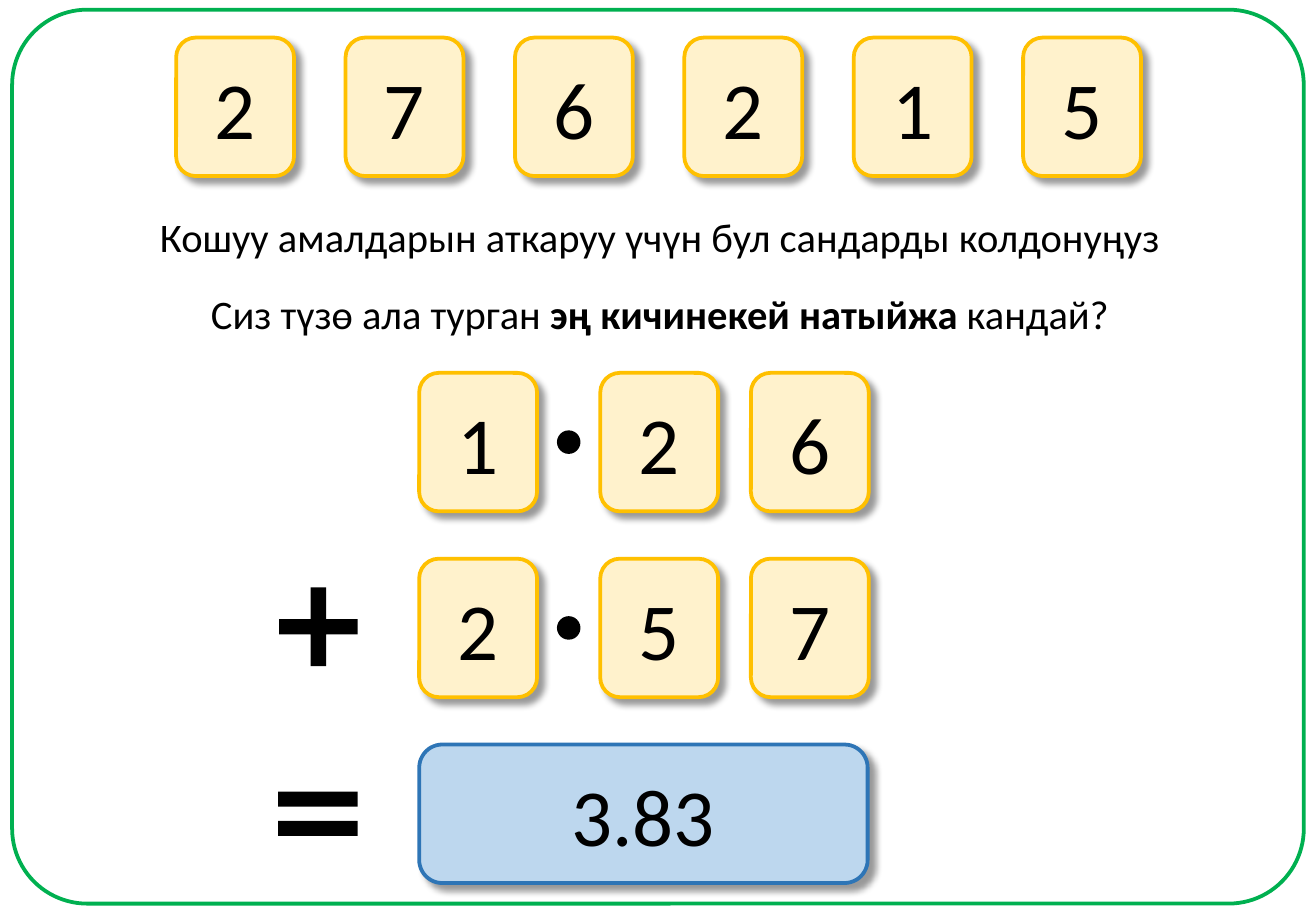
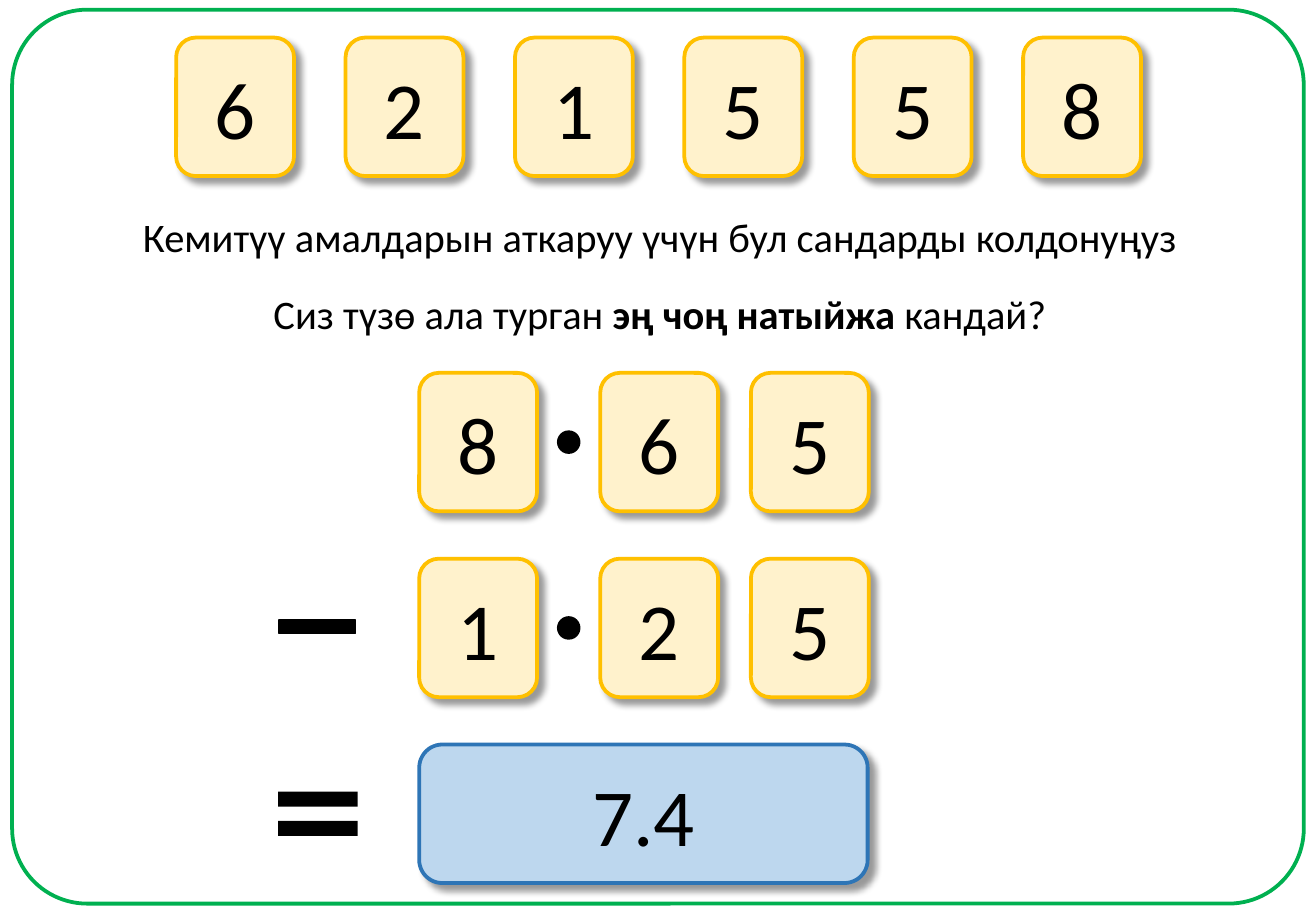
from dataclasses import dataclass

import pptx
import pptx.dml.color
import pptx.enum.shapes
import pptx.enum.text
import pptx.oxml
import pptx.oxml.ns
import pptx.util
from pptx.util import Inches

SHAPE = pptx.enum.shapes.MSO_SHAPE


@dataclass(frozen=True)
class Theme:
    font: str = "Calibri"
    ink: str = "000000"
    frame: str = "00B050"
    card_fill: str = "FFF2CC"
    card_edge: str = "FFC000"
    answer_fill: str = "BDD7EE"
    answer_edge: str = "2E75B6"
    digit_size: float = 48
    prompt_size: float = 24
    edge_width: float = 2.25


@dataclass(frozen=True)
class Box:
    left: float
    top: float
    width: float
    height: float

    def inner(self, left, top, width, height):
        return Box(self.left + left, self.top + top, width, height)

    def lengths(self):
        return [Inches(value) for value in (self.left, self.top, self.width, self.height)]


@dataclass(frozen=True)
class Exercise:
    digits: str
    prompt: str
    prompt_width: float
    question: tuple
    question_width: float
    first: str
    second: str
    result: str
    sign: str


THEME = Theme()
CARD_WIDTH, CARD_HEIGHT = 0.97, 1.14
ROW_STEP = 1.53
FRAME = Box(0.1, 0.08, 10.63, 7.36)
SUPPLY = Box(1.45, 0.31, 7.94, CARD_HEIGHT)
PROMPTS = Box(1.03, 1.7, 8.8, 1.13)
SUM = Box(2.17, 3.07, 4.98, 4.2)

SHADOW = (
    '<a:outerShdw %s blurRad="50800" dist="63500" dir="2700000" algn="tl" rotWithShape="0">'
    '<a:srgbClr val="000000"><a:alpha val="40000"/></a:srgbClr></a:outerShdw>'
    % pptx.oxml.ns.nsdecls("a")
)


def rgb(value):
    return pptx.dml.color.RGBColor.from_string(value)


def style(para, size):
    para.alignment = pptx.enum.text.PP_ALIGN.CENTER
    para.font.name = THEME.font
    para.font.size = pptx.util.Pt(size)
    para.font.color.rgb = rgb(THEME.ink)


def add_figure(shapes, kind, box, fill=None, edge=None, width=THEME.edge_width, adjust=()):
    figure = shapes.add_shape(kind, *box.lengths())
    figure.shadow.inherit = False
    for index, value in enumerate(adjust):
        figure.adjustments[index] = value
    if fill:
        figure.fill.solid()
        figure.fill.fore_color.rgb = rgb(fill)
    else:
        figure.fill.background()
    if edge:
        figure.line.color.rgb = rgb(edge)
        figure.line.width = pptx.util.Pt(width)
    else:
        figure.line.fill.background()
    return figure


def add_card(shapes, box, text, fill=THEME.card_fill, edge=THEME.card_edge):
    card = add_figure(shapes, SHAPE.ROUNDED_RECTANGLE, box, fill, edge)
    effects = card._element.spPr.find(pptx.oxml.ns.qn("a:effectLst"))
    effects.append(pptx.oxml.parse_xml(SHADOW))
    frame = card.text_frame
    frame.vertical_anchor = pptx.enum.text.MSO_ANCHOR.MIDDLE
    frame.margin_left = frame.margin_right = Inches(0.11)
    frame.text = text
    style(frame.paragraphs[0], THEME.digit_size)


def add_supply(page, box, digits):
    """Row of evenly spaced digit cards."""
    group = page.shapes.add_group_shape()
    step = (box.width - CARD_WIDTH) / (len(digits) - 1)
    for index, digit in enumerate(digits):
        add_card(group.shapes, box.inner(index * step, 0, CARD_WIDTH, box.height), digit)


def add_prompts(page, box, exercise):
    """Two centred lines; the middle span of the second is bold."""
    lines = (((exercise.prompt,), exercise.prompt_width),
             (exercise.question, exercise.question_width))
    for row, (spans, width) in enumerate(lines):
        place = box.inner((box.width - width) / 2, row * 0.63, width, 0.5)
        frame = page.shapes.add_textbox(*place.lengths()).text_frame
        frame.word_wrap = False
        frame.auto_size = pptx.enum.text.MSO_AUTO_SIZE.SHAPE_TO_FIT_TEXT
        para = frame.paragraphs[0]
        style(para, THEME.prompt_size)
        for index, text in enumerate(spans):
            span = para.add_run()
            span.text = text
            if index == 1:
                span.font.bold = True


def add_sum(page, box, exercise):
    """Two decimal numbers, the operation signs and the result."""
    shapes = page.shapes
    for row, number in enumerate((exercise.first, exercise.second)):
        top = row * ROW_STEP
        for left, digit in zip((1.28, 2.77, 4.01), number):
            add_card(shapes, box.inner(left, top, CARD_WIDTH, CARD_HEIGHT), digit)
        # Decimal point
        add_figure(shapes, SHAPE.OVAL, box.inner(2.42, top + 0.48, 0.18, 0.18),
                   THEME.ink, THEME.ink, 1)

    # Operation sign
    if exercise.sign == "+":
        add_figure(shapes, SHAPE.MATH_PLUS, box.inner(0.01, 1.65, 0.88, 0.88),
                   THEME.ink, adjust=(0.144,))
    else:
        add_figure(shapes, SHAPE.MATH_MINUS, box.inner(0.01, 1.66, 0.86, 0.86),
                   THEME.ink, THEME.ink, 1, (0.132,))

    # Result
    add_figure(shapes, SHAPE.MATH_EQUAL, box.inner(0, 3.13, 0.89, 1),
               THEME.ink, adjust=(0.123, 0.118))
    add_card(shapes, box.inner(1.28, 2 * ROW_STEP, 3.69, CARD_HEIGHT), exercise.result,
             THEME.answer_fill, THEME.answer_edge)


def add_exercise(deck, exercise):
    page = deck.slides.add_slide(deck.slide_layouts[6])
    add_figure(page.shapes, SHAPE.ROUNDED_RECTANGLE, FRAME, edge=THEME.frame, adjust=(0.084,))
    add_prompts(page, PROMPTS, exercise)
    add_sum(page, SUM, exercise)
    add_supply(page, SUPPLY, exercise.digits)


EXERCISES = (
    Exercise("276215",
             "Кошуу амалдарын аткаруу үчүн бул сандарды колдонуңуз", 8.51,
             ("Сиз түзө ала турган ", "эң кичинекей натыйжа ", "кандай?"), 7.66,
             "126", "257", "3.83", "+"),
    Exercise("621558",
             "Кемитүү амалдарын аткаруу үчүн бул сандарды колдонуңуз", 8.8,
             ("Сиз түзө ала турган ", "эң чоң натыйжа ", "кандай?"), 6.62,
             "865", "125", "7.4", "−"),
)


def main():
    deck = pptx.Presentation()
    deck.slide_width, deck.slide_height = Inches(10.83), Inches(7.5)
    for exercise in EXERCISES:
        add_exercise(deck, exercise)
    deck.save("out.pptx")


if __name__ == "__main__":
    main()
